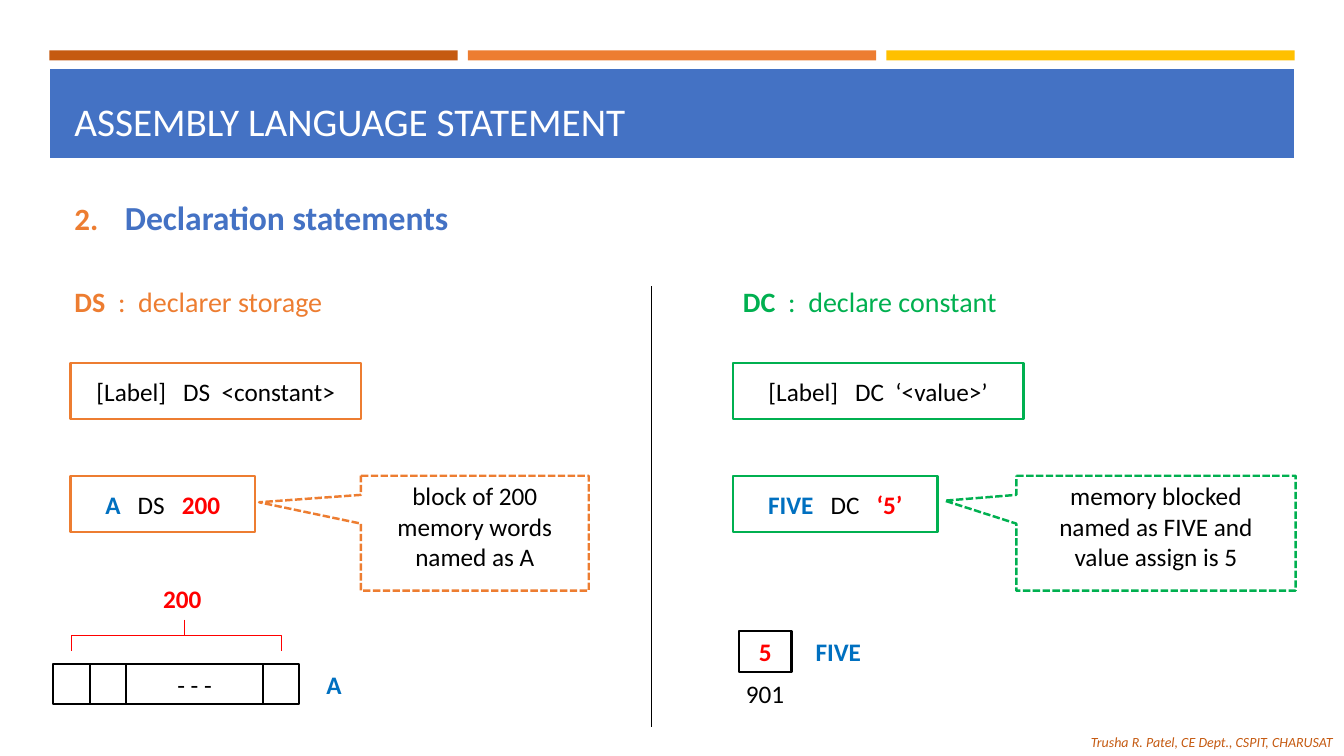
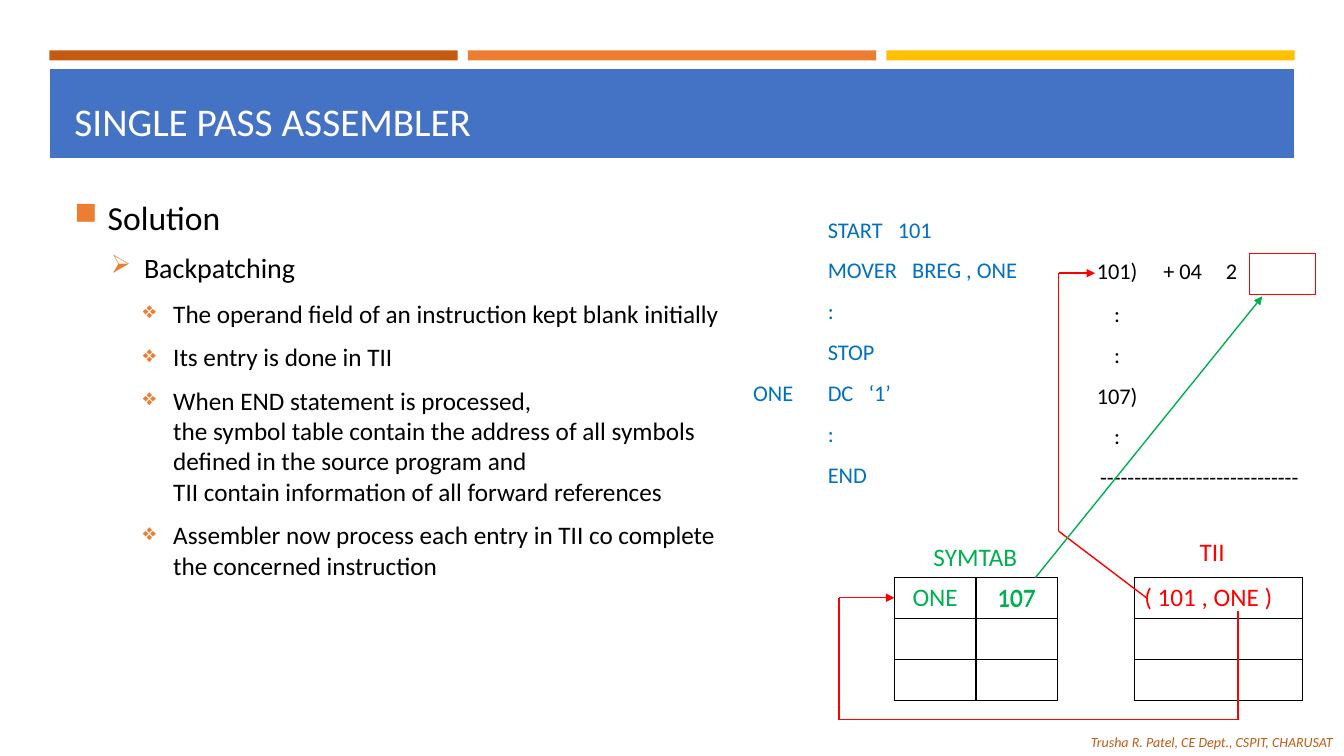
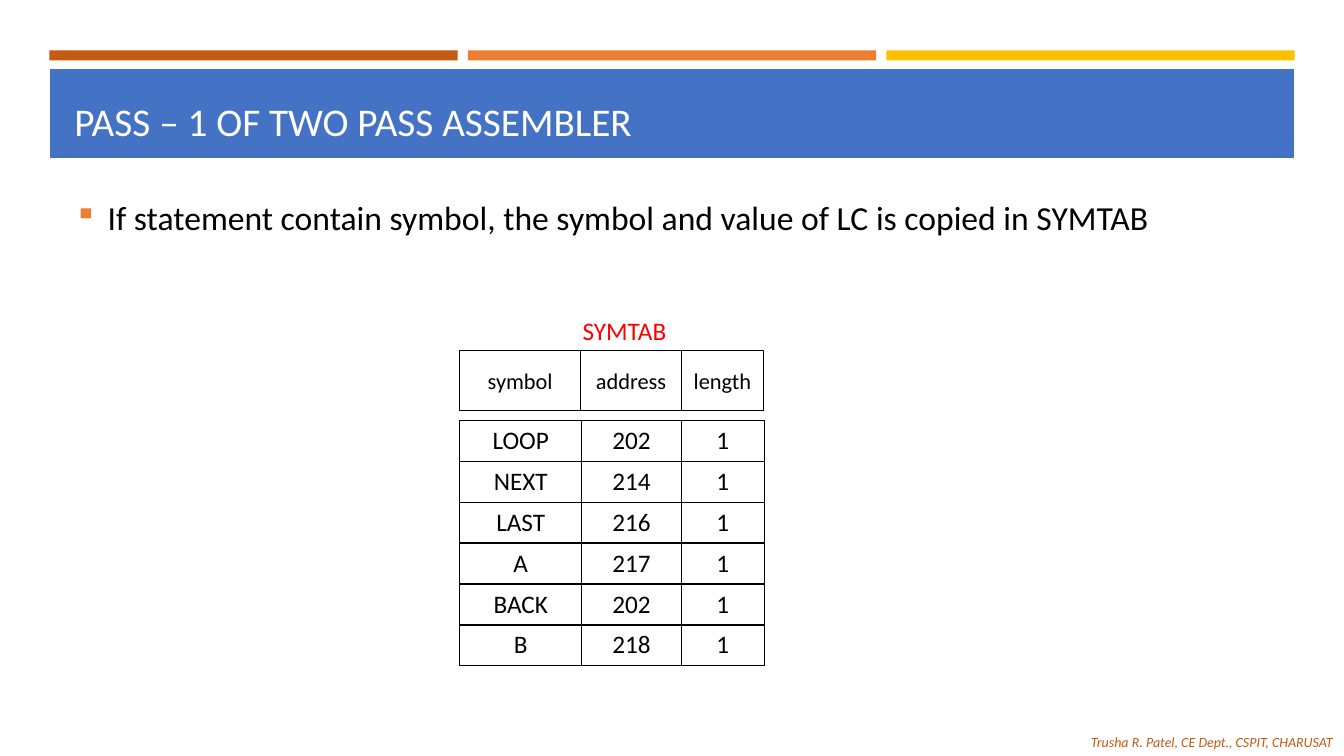
import pptx
import pptx.dml.color
import pptx.enum.dml
import pptx.enum.shapes
import pptx.enum.text
import pptx.oxml.ns
import pptx.util
from lxml import etree

Inches, Pt = pptx.util.Inches, pptx.util.Pt
SHAPE = pptx.enum.shapes.MSO_SHAPE
LINE = pptx.enum.shapes.MSO_CONNECTOR
ALIGN = pptx.enum.text.PP_ALIGN
ANCHOR = pptx.enum.text.MSO_ANCHOR
qn = pptx.oxml.ns.qn

FONT = "Calibri"
COLORS = {
    "white": "FFFFFF", "black": "000000", "band": "4472C4", "rust": "C55A11",
    "orange": "ED7D31", "gold": "FFC000", "green": "00B050", "red": "FF0000",
    "blue": "0070C0",
}
PLAIN_TABLE = "{2D5ABB26-0587-4C30-8999-92F81FD0307C}"
ROW_H = 0.406

# Shared content
FOOTER = "Trusha R. Patel, CE Dept., CSPIT, CHARUSAT"
STRIPES = ["rust", "orange", "gold"]
# Bullet level: marker, left indent, hanging indent, text size
LEVELS = [("■", 0.33, 0.33, 24), ("➢", 0.69, 0.33, 20), ("❖", 0.98, 0.3, 18)]

# Slide 1 content: a mixed paragraph is a list of (text, colour, bold)
PANELS = [
    {"color": "orange", "head_x": 0.64, "x": 0.7,
     "head": [("DS", "orange", True), ("  :  declarer storage", "orange", False)],
     "syntax": "[Label]   DS  <constant>",
     "example": [("A", "blue", True), ("   DS   ", "black", False), ("200", "red", True)],
     "example_w": 1.83,
     "note": ["block of 200 memory words named as A"],
     "note_x": 3.58, "note_w": 2.26, "tip": (-0.947, -0.269)},
    {"color": "green", "head_x": 7.27, "x": 7.27,
     "head": [("DC ", "green", True), (" :  declare constant", "green", False)],
     "syntax": "[Label]   DC  ‘<value>’",
     "example": [("FIVE", "blue", True), ("   DC   ", "black", False), ("‘5’", "red", True)],
     "example_w": 2.03,
     "note": ["memory blocked", "named as FIVE and", "value assign is 5"],
     "note_x": 10.08, "note_w": 2.77, "tip": (-0.756, -0.283)},
]
MEMORY_CELLS = [("", 0.36), ("", 0.36), ("- - -", 1.36), ("", 0.36)]

# Slide 2 content
SOLUTION = [
    (0, "Solution"),
    (1, "Backpatching"),
    (2, "The operand field of an instruction kept blank initially"),
    (2, "Its entry is done in TII"),
    (2, "When END statement is processed,\nthe symbol table contain the address of all symbols "
        "defined in the source program and\nTII contain information of all forward references"),
    (2, "Assembler now process each entry in TII co complete the concerned instruction"),
]
SOURCE_CODE = [["", "START   101"], ["", "MOVER   BREG , ONE"], ["", ":"], ["", "STOP"],
               ["ONE", "DC   ‘1’"], ["", ":"], ["", "END"]]
MACHINE_COLS = [0.68, 0.62, 0.35, 0.66]
MACHINE_CODE = [
    (2.11, [["", "", "", ""], ["101)", "+ 04", "2", ""]]),
    (2.94, [[":", "", "", ""], [":", "", "", ""]]),
    (3.75, [["107)", "", "", ""]]),
    (4.15, [[":", "", "", ""], ["-" * 29, "", "", ""]]),
]
TO_INSTRUCTION = [(11.37, 5.93), (10.5, 5.27), (10.5, 2.71), (10.86, 2.71)]
TO_SYMBOL = [(12.28, 6.06), (12.28, 7.14), (8.32, 7.14), (8.32, 5.93), (8.87, 5.93)]
TO_OPERAND = [(10.27, 5.73), (12.52, 2.94)]

# Slide 3 content
SYMTAB_HEAD = [("symbol", 1.2), ("address", 1.0), ("length", 0.81)]
SYMTAB = [["LOOP", "202", "1"], ["NEXT", "214", "1"], ["LAST", "216", "1"],
          ["A", "217", "1"], ["BACK", "202", "1"], ["B", "218", "1"]]


def rgb(name):
    return pptx.dml.color.RGBColor.from_string(COLORS[name])


def style(r, size, color, bold=False, italic=False):
    r.font.name, r.font.size = FONT, Pt(size)
    r.font.bold, r.font.italic = bold, italic
    r.font.color.rgb = rgb(color)


def fill_paragraph(p, text, size, color="black", bold=False, italic=False, align=None):
    p.alignment = align
    if isinstance(text, str):
        p.text = text
        for r in p.runs:
            style(r, size, color, bold, italic)
    else:
        for part, part_color, part_bold in text:
            r = p.add_run()
            r.text = part
            style(r, size, part_color, part_bold)


def add_text(slide, x, y, w, h, text, size, color="black", wrap=False, anchor=None, **fmt):
    sp = slide.shapes.add_textbox(Inches(x), Inches(y), Inches(w), Inches(h))
    tf = sp.text_frame
    tf.word_wrap = wrap
    if not wrap:
        tf.auto_size = pptx.enum.text.MSO_AUTO_SIZE.SHAPE_TO_FIT_TEXT
    tf.vertical_anchor = anchor
    fill_paragraph(tf.paragraphs[0], text, size, color, **fmt)
    return sp


def add_box(slide, x, y, w, h, fill=None, line=None, line_w=1.75, kind=SHAPE.RECTANGLE,
            paras=(), size=18, color="black", bold=False, anchor=ANCHOR.MIDDLE):
    sp = slide.shapes.add_shape(kind, Inches(x), Inches(y), Inches(w), Inches(h))
    sp.shadow.inherit = False
    if fill:
        sp.fill.solid()
        sp.fill.fore_color.rgb = rgb(fill)
    else:
        sp.fill.background()
    if line:
        sp.line.color.rgb = rgb(line)
        sp.line.width = Pt(line_w)
    else:
        sp.line.fill.background()
    tf = sp.text_frame
    tf.word_wrap = True
    tf.vertical_anchor = anchor
    for i, text in enumerate(paras):
        p = tf.add_paragraph() if i else tf.paragraphs[0]
        fill_paragraph(p, text, size, color, bold, align=ALIGN.CENTER)
    return sp


def add_line(slide, start, end, color="black", arrow=False, kind=LINE.STRAIGHT):
    ln = slide.shapes.add_connector(kind, *(Inches(v) for v in (*start, *end)))
    ln.line.color.rgb = rgb(color)
    ln.line.width = Pt(1)
    sp_pr = ln._element.spPr
    if arrow:
        etree.SubElement(sp_pr.find(qn("a:ln")), qn("a:tailEnd"), type="triangle")
    etree.SubElement(sp_pr, qn("a:effectLst"))
    return ln


def add_arrow_path(slide, points, color):
    last = len(points) - 2
    for i, (start, end) in enumerate(zip(points, points[1:])):
        add_line(slide, start, end, color, arrow=i == last)


def add_elbow_down(slide, start, end, color):
    """Elbow that leaves downwards: a turned connector about the same centre."""
    (x1, y1), (x2, y2) = start, end
    cx, cy = (x1 + x2) / 2, (y1 + y2) / 2
    side = (y2 - y1) / 2 * (1 if x2 > x1 else -1)
    half = abs(x2 - x1) / 2
    ln = add_line(slide, (cx + side, cy - half), (cx - side, cy + half), color, kind=LINE.ELBOW)
    ln.rotation = 270 if x2 > x1 else 90
    ln._element.spPr.find(qn("a:xfrm")).set("rot", str((270 if x2 > x1 else 90) * 60000))


def set_borders(cell, color, width=1):
    tc_pr = cell._tc.get_or_add_tcPr()
    for i, side in enumerate(("lnL", "lnR", "lnT", "lnB")):
        ln = etree.Element(qn("a:" + side), w=str(Pt(width)))
        solid = etree.SubElement(ln, qn("a:solidFill"))
        etree.SubElement(solid, qn("a:srgbClr"), val=COLORS[color])
        tc_pr.insert(i, ln)


def add_table(slide, x, y, cols, rows, size=18, color="black", align=ALIGN.CENTER, border=None):
    frame = slide.shapes.add_table(len(rows), len(cols), Inches(x), Inches(y),
                                   Inches(sum(cols)), Inches(ROW_H * len(rows)))
    table = frame.table
    table.first_row = table.horz_banding = False
    table._tbl.tblPr.find(qn("a:tableStyleId")).text = PLAIN_TABLE
    for c, w in enumerate(cols):
        table.columns[c].width = Inches(w)
    for r, row in enumerate(rows):
        for c, text in enumerate(row):
            cell = table.cell(r, c)
            cell.fill.background()
            if border:
                set_borders(cell, border)
            if text:
                fill_paragraph(cell.text_frame.paragraphs[0], text, size, color, align=align)
    return table


def set_bullet(p, left, hang, tag, **attrs):
    p_pr = p._p.get_or_add_pPr()
    p_pr.set("marL", str(Inches(left)))
    p_pr.set("indent", str(-Inches(hang)))
    clr = etree.SubElement(p_pr, qn("a:buClr"))
    etree.SubElement(clr, qn("a:srgbClr"), val=COLORS["orange"])
    etree.SubElement(p_pr, qn("a:buSzPct"), val="92000")
    etree.SubElement(p_pr, qn(tag), **attrs)


def add_bullets(slide, w, h, items, markers=None):
    sp = slide.shapes.add_textbox(Inches(0.64), Inches(1.9), Inches(w), Inches(h))
    tf = sp.text_frame
    tf.word_wrap = True
    for i, (level, text) in enumerate(items):
        marker, left, hang, size = LEVELS[level]
        p = tf.add_paragraph() if i else tf.paragraphs[0]
        p.level = level
        set_bullet(p, left, hang, "a:buChar", char=(markers or {}).get(level, marker))
        if i:
            p.space_before = Pt(0.2 * size)
        p.space_after = Pt(6)
        fill_paragraph(p, text, size)


def new_slide(prs, title):
    """Blank slide with footer, title band, stripes and title."""
    slide = prs.slides.add_slide(prs.slide_layouts[6])
    add_text(slide, 10.72, 7.23, 2.61, 0.27, FOOTER, 10, "rust", italic=True)
    add_box(slide, 0.48, 0.67, 12.37, 0.91, "band", "white", 2)
    for i, color in enumerate(STRIPES):
        add_box(slide, 0.49 + 4.15 * i, 0.5, 4.05, 0.1, color)
    add_text(slide, 0.64, 0.77, 12.06, 0.71, title, 28, "white", wrap=True, anchor=ANCHOR.BOTTOM)
    return slide


def build_declarations(prs):
    slide = new_slide(prs, "ASSEMBLY LANGUAGE STATEMENT")
    sp = slide.shapes.add_textbox(Inches(0.64), Inches(1.9), Inches(12.06), Inches(0.95))
    p = sp.text_frame.paragraphs[0]
    set_bullet(p, 0.5, 0.5, "a:buAutoNum", type="arabicPeriod", startAt="2")
    fill_paragraph(p, "Declaration statements", 24, "band", bold=True)

    # Storage and constant panels
    add_line(slide, (6.46, 2.84), (6.46, 7.21))
    for d in PANELS:
        color = d["color"]
        add_text(slide, d["head_x"], 2.77, 2.95, 0.56, d["head"], 20, wrap=True)
        add_box(slide, d["x"], 3.6, 2.88, 0.56, "white", color, paras=[d["syntax"]])
        add_box(slide, d["x"], 4.72, d["example_w"], 0.56, "white", color, paras=[d["example"]])
        note = add_box(slide, d["note_x"], 4.72, d["note_w"], 1.14, None, color,
                       kind=SHAPE.RECTANGULAR_CALLOUT, paras=d["note"], anchor=ANCHOR.TOP)
        note.line.dash_style = pptx.enum.dml.MSO_LINE.SQUARE_DOT
        note.adjustments[0], note.adjustments[1] = d["tip"]

    # Memory block of 200 words
    x = 0.53
    for text, w in MEMORY_CELLS:
        add_box(slide, x, 6.59, w, 0.39, "white", "black", 1.5, paras=[text] if text else [])
        x += w
    add_text(slide, 3.14, 6.59, 0.4, 0.4, "A", 18, "blue", bold=True)
    add_text(slide, 1.52, 5.74, 0.62, 0.4, "200", 18, "red", bold=True)
    for end_x in (0.71, 2.79):
        add_elbow_down(slide, (1.83, 6.15), (end_x, 6.46), "red")

    # Single constant word
    add_box(slide, 7.33, 6.26, 0.52, 0.41, "white", "black", paras=["5"], color="red", bold=True)
    add_text(slide, 7.99, 6.26, 0.78, 0.4, "FIVE", 18, "blue", bold=True)
    add_text(slide, 7.3, 6.68, 0.58, 0.4, "901", 18)


def build_single_pass(prs):
    slide = new_slide(prs, "SINGLE PASS ASSEMBLER")
    add_bullets(slide, 6.73, 5.25, SOLUTION)

    # Source program and generated code
    add_table(slide, 7.37, 2.1, [0.74, 2.39], SOURCE_CODE, 16, "blue", ALIGN.LEFT)
    code = [add_table(slide, 10.74, y, MACHINE_COLS, rows, 16) for y, rows in MACHINE_CODE]
    set_borders(code[0].cell(1, 3), "red")
    code[-1].cell(1, 0).merge(code[-1].cell(1, 3))

    # Incomplete instructions and symbol table
    add_table(slide, 11.25, 5.73, [1.67], [["( 101 , ONE )"], [""], [""]], 18, "red",
              ALIGN.LEFT, "black")
    add_text(slide, 11.8, 5.27, 0.48, 0.4, "TII", 18, "red")
    add_table(slide, 8.87, 5.73, [0.81, 0.81], [["ONE", "107"], ["", ""], ["", ""]], 18, "green",
              border="black")
    add_text(slide, 9.16, 5.32, 1.1, 0.4, "SYMTAB", 18, "green")
    add_text(slide, 9.79, 5.73, 0.58, 0.4, "107", 18, "green", align=ALIGN.CENTER)

    # Backpatching arrows
    add_arrow_path(slide, TO_INSTRUCTION, "red")
    add_arrow_path(slide, TO_OPERAND, "green")
    add_arrow_path(slide, TO_SYMBOL, "red")


def build_two_pass(prs):
    slide = new_slide(prs, "PASS – 1 OF TWO PASS ASSEMBLER")
    text = "If statement contain symbol, the symbol and value of LC is copied in SYMTAB"
    add_bullets(slide, 12.06, 5.26, [(0, text)], {0: "▪"})

    # Symbol table with its separate heading row
    add_table(slide, 4.56, 4.17, [1.21, 0.99, 0.82], SYMTAB, border="black")
    add_text(slide, 5.68, 3.08, 1.1, 0.4, "SYMTAB", 18, "red")
    x = 4.56
    for label, w in SYMTAB_HEAD:
        add_box(slide, x, 3.48, w, 0.59, None, "black", 0.75, paras=[label], size=16)
        x += w


def main():
    prs = pptx.Presentation()
    prs.slide_width, prs.slide_height = Inches(13.33), Inches(7.5)
    build_declarations(prs)
    build_single_pass(prs)
    build_two_pass(prs)
    prs.save("out.pptx")


if __name__ == "__main__":
    main()
